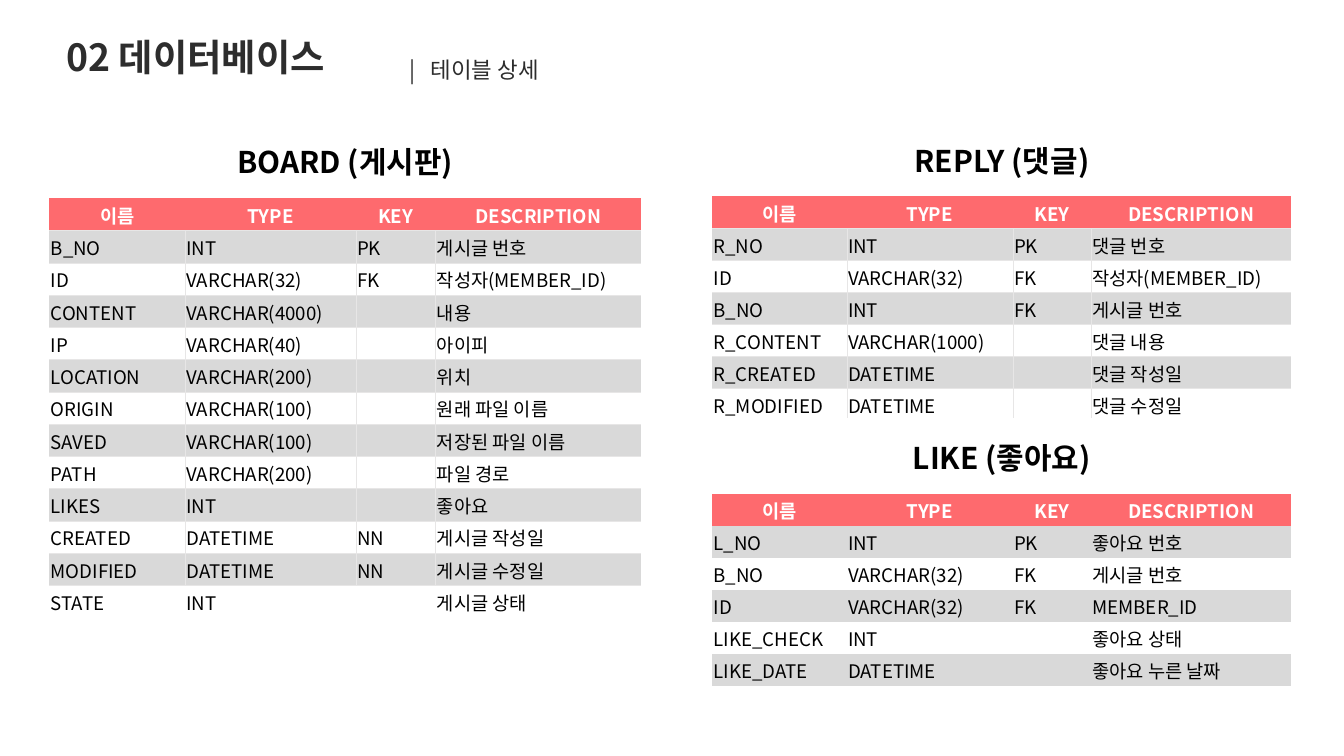
from lxml import etree
from pptx import Presentation
from pptx.dml.color import RGBColor
from pptx.enum.text import MSO_ANCHOR, MSO_AUTO_SIZE, PP_ALIGN
from pptx.oxml.ns import qn
from pptx.util import Pt

LEFT, CENTER = PP_ALIGN.LEFT, PP_ALIGN.CENTER
MIDDLE = MSO_ANCHOR.MIDDLE
NO_AUTOSIZE = MSO_AUTO_SIZE.NONE
TITLE_ONLY = 5

INK = RGBColor(0x2D, 0x2D, 0x2D)
BLACK = RGBColor(0x00, 0x00, 0x00)
WHITE = RGBColor(0xFF, 0xFF, 0xFF)
CORAL = RGBColor(0xFE, 0x6A, 0x6E)
BAND = RGBColor(0xD9, 0xD9, 0xD9)
RULE = RGBColor(0xE7, 0xE6, 0xE6)

HEADINGS = ("이름", "TYPE", "KEY", "DESCRIPTION")
BOARD = [
    ("B_NO", "INT", "PK", "게시글 번호"),
    ("ID", "VARCHAR(32)", "FK", "작성자(MEMBER_ID)"),
    ("CONTENT", "VARCHAR(4000)", "", "내용"),
    ("IP", "VARCHAR(40)", "", "아이피"),
    ("LOCATION", "VARCHAR(200)", "", "위치"),
    ("ORIGIN", "VARCHAR(100)", "", "원래 파일 이름"),
    ("SAVED", "VARCHAR(100)", "", "저장된 파일 이름"),
    ("PATH", "VARCHAR(200)", "", "파일 경로"),
    ("LIKES", "INT", "", "좋아요"),
    ("CREATED", "DATETIME", "NN", "게시글 작성일"),
    ("MODIFIED", "DATETIME", "NN", "게시글 수정일"),
    ("STATE", "INT", "", "게시글 상태"),
]
REPLY = [
    ("R_NO", "INT", "PK", "댓글 번호"),
    ("ID", "VARCHAR(32)", "FK", "작성자(MEMBER_ID)"),
    ("B_NO", "INT", "FK", "게시글 번호"),
    ("R_CONTENT", "VARCHAR(1000)", "", "댓글 내용"),
    ("R_CREATED", "DATETIME", "", "댓글 작성일"),
    ("R_MODIFIED", "DATETIME", "", "댓글 수정일"),
]
LIKE = [
    ("L_NO", "INT", "PK", "좋아요 번호"),
    ("B_NO", "VARCHAR(32)", "FK", "게시글 번호"),
    ("ID", "VARCHAR(32)", "FK", "MEMBER_ID"),
    ("LIKE_CHECK", "INT", "", "좋아요 상태"),
    ("LIKE_DATE", "DATETIME", "", "좋아요 누른 날짜"),
]
BOARD_COLUMNS = (145.4, 182.8, 85.5, 220.2)
RIGHT_COLUMNS = (144, 178, 83.8, 214.6)


class SchemaSlide:
    font_name = "Noto Sans CJK KR"
    cell_inset = Pt(1.4)

    def __init__(self, slide):
        self.slide = slide

    def run(self, paragraph, text, size, color, bold=False):
        run = paragraph.add_run()
        run.text = text
        run.font.size = Pt(size)
        run.font.bold = bold
        run.font.color.rgb = color
        run.font.name = self.font_name
        etree.SubElement(run.font._element, qn("a:ea"), typeface=self.font_name)

    def place(self, shape, left, top, width, height):
        """Position a one-line text shape and return its paragraph."""
        shape.left, shape.top = Pt(left), Pt(top)
        shape.width, shape.height = Pt(width), Pt(height)
        frame = shape.text_frame
        frame.word_wrap = True
        frame.auto_size = NO_AUTOSIZE
        frame.vertical_anchor = MIDDLE
        paragraph = frame.paragraphs[0]
        paragraph.alignment = LEFT
        return paragraph

    def title(self, text, *box):
        paragraph = self.place(self.slide.shapes.title, *box)
        self.run(paragraph, text, 40, INK, bold=True)

    def subtitle(self, text, tab_stop, *box):
        paragraph = self.place(self.slide.shapes.add_textbox(0, 0, 0, 0), *box)
        tabs = etree.SubElement(paragraph._p.get_or_add_pPr(), qn("a:tabLst"))
        etree.SubElement(tabs, qn("a:tab"), pos=str(Pt(tab_stop)), algn="l")
        self.run(paragraph, text, 24, INK)

    def borders(self, cell, ruled_sides):
        """Rule the named sides (L, R, T, B) and clear the others."""
        properties = cell._tc.get_or_add_tcPr()
        for side in "LRTB":
            line = etree.SubElement(properties, qn(f"a:ln{side}"), w=str(Pt(0.5)))
            if side in ruled_sides:
                fill = etree.SubElement(line, qn("a:solidFill"))
                etree.SubElement(fill, qn("a:srgbClr"), val=str(RULE))
            else:
                etree.SubElement(line, qn("a:noFill"))

    def cell(self, cell, text, fill, ruled_sides="", size=20, color=BLACK,
             bold=False, align=LEFT):
        self.borders(cell, ruled_sides)
        if fill is None:
            cell.fill.background()
        else:
            cell.fill.solid()
            cell.fill.fore_color.rgb = fill
        cell.margin_left = cell.margin_right = cell.margin_top = self.cell_inset
        cell.margin_bottom = 0
        cell.vertical_anchor = MIDDLE
        paragraph = cell.text_frame.paragraphs[0]
        paragraph.alignment = align
        if text:
            self.run(paragraph, text, size, color, bold)

    def schema(self, caption, fields, left, top, columns, caption_height,
               row_height, ruled=True, last_row_split=True):
        """Draw a caption row, a heading row and one banded row per field."""
        row_count, last_column = len(fields) + 2, len(columns) - 1
        height = caption_height + row_height * (row_count - 1)
        table = self.slide.shapes.add_table(
            row_count, len(columns), Pt(left), Pt(top),
            Pt(sum(columns)), Pt(height)).table
        table.first_row = table.horz_banding = False
        for column, width in zip(table.columns, columns):
            column.width = Pt(width)
        for row in table.rows:
            row.height = Pt(row_height)
        table.rows[0].height = Pt(caption_height)

        table.cell(0, 0).merge(table.cell(0, last_column))
        self.cell(table.cell(0, 0), caption, WHITE, size=32, bold=True, align=CENTER)
        for c, heading in enumerate(HEADINGS):
            self.cell(table.cell(1, c), heading, CORAL, "B" if ruled else "",
                      color=WHITE, bold=True, align=CENTER)
        for r, field in enumerate(fields):
            is_last = r == len(fields) - 1
            split = last_row_split or not is_last
            for c, text in enumerate(field):
                sides = ""
                if ruled:
                    sides = "T" + ("" if is_last else "B")
                    sides += "L" if split and c > 0 else ""
                    sides += "R" if split and c < last_column else ""
                self.cell(table.cell(r + 2, c), text, None if r % 2 else BAND, sides)


def main():
    deck = Presentation()
    deck.slide_width, deck.slide_height = Pt(1440), Pt(810)
    page = SchemaSlide(deck.slides.add_slide(deck.slide_layouts[TITLE_ONLY]))
    page.title("02 데이터베이스", 64, 33, 416, 55.5)
    page.subtitle("|\t테이블 상세", 23, 431.3, 56.2, 463, 36)
    page.schema("BOARD (게시판)", BOARD, 53, 131, BOARD_COLUMNS, 81.4, 34.6,
                last_row_split=False)
    page.schema("REPLY (댓글)", REPLY, 763.2, 130.5, RIGHT_COLUMNS, 80, 34.25)
    page.schema("LIKE (좋아요)", LIKE, 763.2, 447.8, RIGHT_COLUMNS, 81.4, 34.25,
                ruled=False)
    deck.save("out.pptx")


if __name__ == "__main__":
    main()
